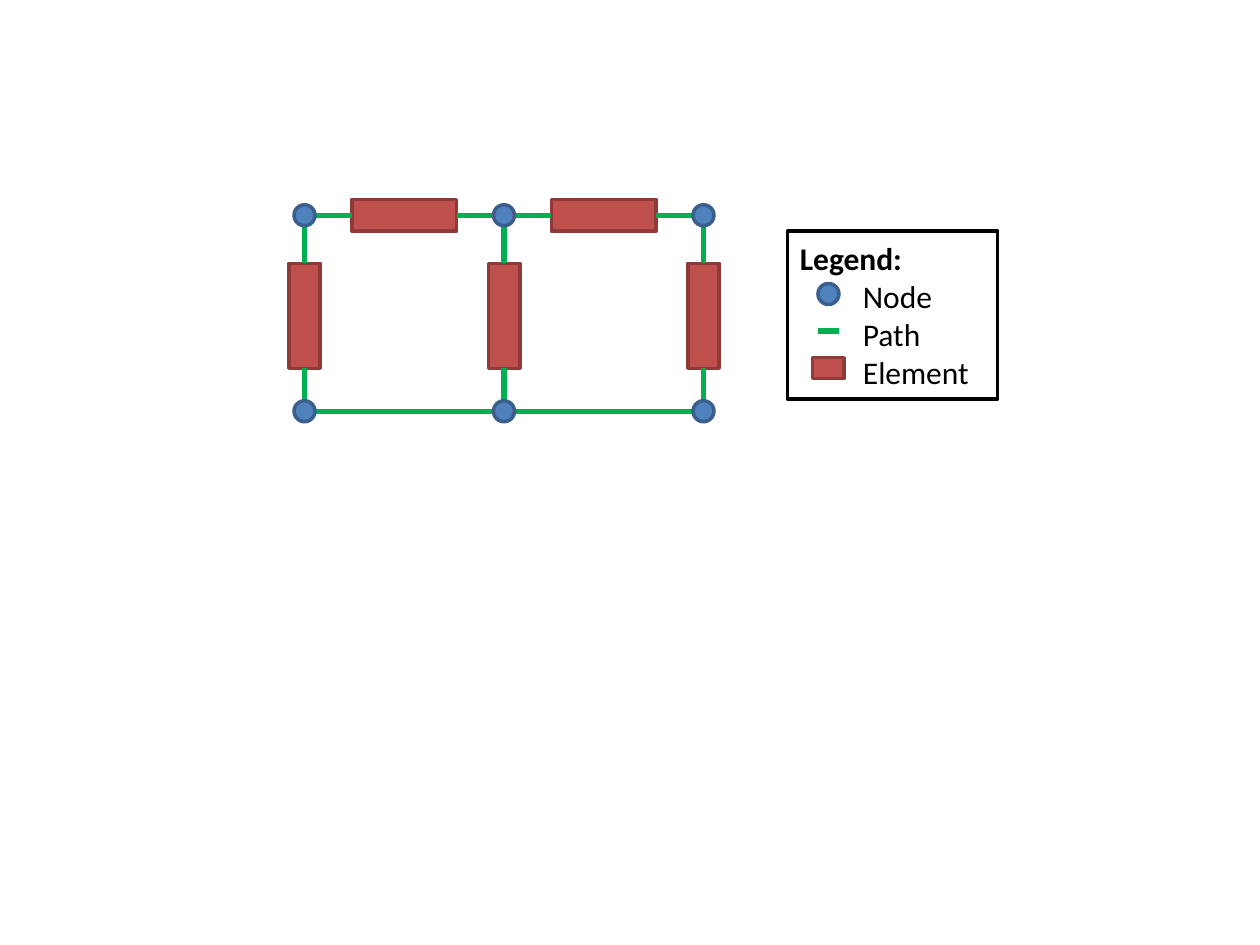
from pptx import Presentation
from pptx.dml.color import RGBColor
from pptx.enum.shapes import MSO_CONNECTOR, MSO_SHAPE
from pptx.enum.text import MSO_ANCHOR, PP_ALIGN
from pptx.oxml.ns import qn
from pptx.util import Pt
from lxml import etree

RECTANGLE, OVAL = MSO_SHAPE.RECTANGLE, MSO_SHAPE.OVAL
STRAIGHT = MSO_CONNECTOR.STRAIGHT
LEFT, MIDDLE = PP_ALIGN.LEFT, MSO_ANCHOR.MIDDLE

NODE_SIZE = 12
ELEMENT_LENGTH, ELEMENT_THICKNESS = 60, 18
NODE_COLORS = ("4F81BD", "3A5F8C")
ELEMENT_COLORS = ("C0504D", "8E3B39")
PATH_COLOR = "00B050"


def color(value):
    return RGBColor.from_string(value)


def add_block(slide, kind, x, y, width, height, fill, line):
    """Add a filled shape centred on (x, y)."""
    shape = slide.shapes.add_shape(
        kind, Pt(x - width / 2), Pt(y - height / 2), Pt(width), Pt(height))
    shape.shadow.inherit = False
    shape.fill.solid()
    shape.fill.fore_color.rgb = color(fill)
    shape.line.color.rgb = color(line)
    shape.line.width = Pt(2)
    return shape


def add_node(slide, x, y):
    add_block(slide, OVAL, x, y, NODE_SIZE, NODE_SIZE, *NODE_COLORS)


def add_element(slide, x, y, rotation=0):
    shape = add_block(slide, RECTANGLE, x, y, ELEMENT_LENGTH,
                      ELEMENT_THICKNESS, *ELEMENT_COLORS)
    shape.rotation = rotation


def add_path(slide, x1, y1, x2, y2):
    connector = slide.shapes.add_connector(
        STRAIGHT, Pt(x1), Pt(y1), Pt(x2), Pt(y2))
    connector.line.color.rgb = color(PATH_COLOR)
    connector.line.width = Pt(3)
    etree.SubElement(connector._element.spPr, qn("a:effectLst"))


def add_circuit(slide, left, top, width, height):
    """Draw a two-loop circuit whose corner nodes are centred on the box."""
    bottom = top + height
    columns = [left + width * i / 2 for i in range(3)]
    radius, half = NODE_SIZE / 2, ELEMENT_LENGTH / 2
    branch_y = top + height / 2 + 1.5

    # Vertical branches
    for x in columns:
        add_element(slide, x, branch_y, 90)
        add_path(slide, x, top + radius, x, branch_y - half)
        add_path(slide, x, branch_y + half, x, bottom - radius)

    # Top branches with elements, bottom branches without
    for start, end in zip(columns, columns[1:]):
        middle = (start + end) / 2
        add_element(slide, middle, top)
        add_path(slide, start + radius, top, middle - half, top)
        add_path(slide, middle + half, top, end - radius, top)
        add_path(slide, start + radius, bottom, end - radius, bottom)

    # Nodes
    for x in columns:
        for y in (top, bottom):
            add_node(slide, x, y)


def add_legend(slide, left, top, width, height):
    # Frame with labels
    frame = add_block(slide, RECTANGLE, left + width / 2, top + height / 2,
                      width, height, "FFFFFF", "000000")
    text_frame = frame.text_frame
    text_frame.word_wrap = True
    text_frame.vertical_anchor = MIDDLE
    text_frame.text = "Legend:\nNode\nPath\nElement"
    for i, paragraph in enumerate(text_frame.paragraphs):
        paragraph.alignment = LEFT
        paragraph.font.name = "Calibri"
        paragraph.font.size = Pt(18)
        paragraph.font.bold = i == 0
        paragraph.font.color.rgb = color("000000")
        if i > 0:
            paragraph._p.get_or_add_pPr().set("marL", str(Pt(36)))

    # Symbols beside the labels
    x = left + 23.4
    node_y, path_y, element_y = (top + 36 + 21.2 * i for i in range(3))
    add_node(slide, x, node_y)
    add_path(slide, x - 6, path_y, x + 6, path_y)
    add_block(slide, RECTANGLE, x, element_y, 18, 12, *ELEMENT_COLORS)


def main():
    presentation = Presentation()
    presentation.slide_width, presentation.slide_height = Pt(720), Pt(540)
    slide = presentation.slides.add_slide(presentation.slide_layouts[6])
    add_circuit(slide, 174, 123, 228, 112)
    add_legend(slide, 450, 132, 120, 96)
    presentation.save("out.pptx")


if __name__ == "__main__":
    main()
